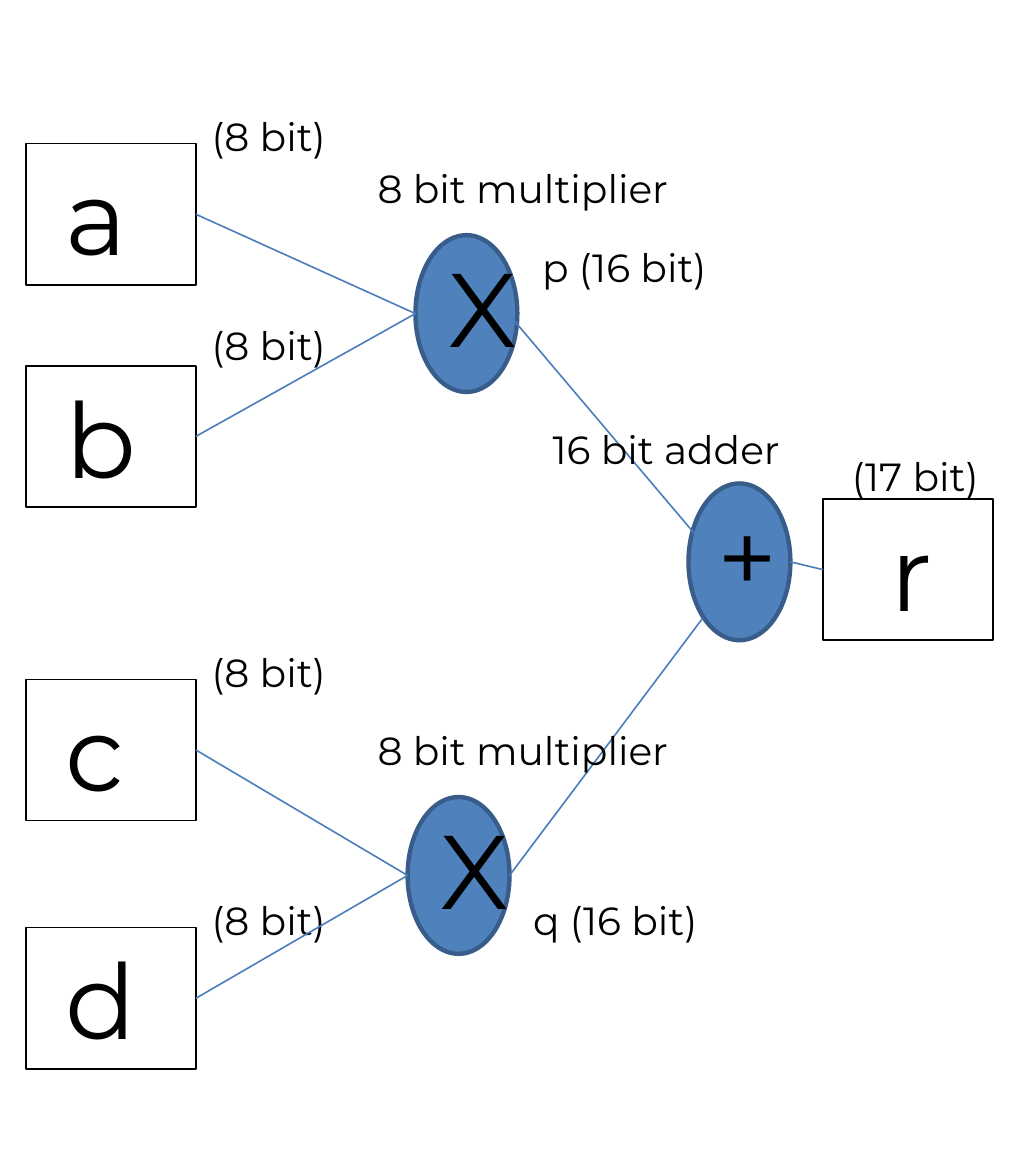
from pptx import Presentation
from pptx.dml.color import RGBColor
from pptx.enum.shapes import MSO_CONNECTOR, MSO_SHAPE
from pptx.enum.text import MSO_ANCHOR, PP_ALIGN
from pptx.oxml.ns import qn
from pptx.util import Inches, Pt
from lxml import etree

RECT, OVAL = MSO_SHAPE.RECTANGLE, MSO_SHAPE.OVAL
STRAIGHT = MSO_CONNECTOR.STRAIGHT
TOP, LEFT = MSO_ANCHOR.TOP, PP_ALIGN.LEFT
LEFT_SIDE, RIGHT_SIDE = 1, 3

FONT = "Montserrat"
BLACK, BLUE, DARK_BLUE, WIRE_BLUE = "000000", "4F81BD", "385D8A", "4A7EBB"
BIG, SMALL = 48, 18

# Grid of 78 columns by 90 rows, twelve cells to the inch
COLUMNS, ROWS = 78, 90
BOX_W, BOX_H = 13, 10.8
NODE_W, NODE_H = 7.8, 12
LABEL_H = 4.8
INPUT_X, BITS_X = 2, 15

INPUTS = [("a", 11, 8), ("b", 28, 24), ("c", 52, 49), ("d", 71, 68)]
LABELS = [
    ("8 bit multiplier", 27.7, 12, 32),
    ("p (16 bit)", 40.3, 18, 22),
    ("16 bit adder", 41.1, 32, 24),
    ("(17 bit)", 64, 34, 14),
    ("8 bit multiplier", 27.7, 55, 32),
    ("q (16 bit)", 39.6, 68, 22),
]


def cells(n):
    return Inches(n / 12)


def color(hex_string):
    return RGBColor.from_string(hex_string)


def write(sp, text, size, indent=1.2):
    tf = sp.text_frame
    tf.word_wrap = True
    tf.vertical_anchor = TOP
    tf.margin_left = cells(indent)
    tf.text = text
    p = tf.paragraphs[0]
    p.alignment = LEFT
    p.font.size = Pt(size)
    p.font.name = FONT
    p.font.color.rgb = color(BLACK)


def add_label(slide, text, x, y, width, size=SMALL, height=LABEL_H):
    sp = slide.shapes.add_textbox(cells(x), cells(y), cells(width), cells(height))
    write(sp, text, size)


def add_box(slide, letter, x, y, indent=3):
    sp = slide.shapes.add_shape(RECT, cells(x), cells(y), cells(BOX_W), cells(BOX_H))
    sp.shadow.inherit = False
    sp.fill.background()
    sp.line.color.rgb = color(BLACK)
    sp.line.width = Pt(0.75)
    write(sp, letter, BIG, indent)
    return sp


def add_node(slide, sign, x, y, sign_dx):
    """Draw an operator ellipse with its sign sign_dx columns from its left."""
    sp = slide.shapes.add_shape(OVAL, cells(x), cells(y), cells(NODE_W), cells(NODE_H))
    sp.shadow.inherit = False
    sp.fill.solid()
    sp.fill.fore_color.rgb = color(BLUE)
    sp.line.color.rgb = color(DARK_BLUE)
    sp.line.width = Pt(2)
    add_label(slide, sign, x + sign_dx, y, NODE_W, BIG, BOX_H)


def add_wire(slide, x1, y1, x2, y2):
    wire = slide.shapes.add_connector(STRAIGHT, cells(x1), cells(y1), cells(x2), cells(y2))
    wire.line.color.rgb = color(WIRE_BLUE)
    wire.line.width = Pt(0.75)
    etree.SubElement(wire._element.spPr, qn("a:effectLst"))
    return wire


def main():
    prs = Presentation()
    prs.slide_width, prs.slide_height = cells(COLUMNS), cells(ROWS)
    slide = prs.slides.add_slide(prs.slide_layouts[6])

    multipliers = [(31.8, 18), (31.2, 61)]
    adder_x, adder_y = 52.7, 37
    result_x, result_y = 63, 38.2

    for x, y in multipliers:
        add_node(slide, "X", x, y, 1.3)
    add_node(slide, "+", adder_x, adder_y, 1)

    for i, (letter, y, bits_y) in enumerate(INPUTS):
        box = add_box(slide, letter, INPUT_X, y)
        add_label(slide, "(8 bit)", BITS_X, bits_y, 14)
        node_x, node_y = multipliers[i // 2]
        wire = add_wire(slide, INPUT_X + BOX_W, y + BOX_H / 2, node_x, node_y + NODE_H / 2)
        wire.begin_connect(box, RIGHT_SIDE)

    result = add_box(slide, "r", result_x, result_y, indent=5.2)
    wire = add_wire(slide, adder_x + NODE_W, adder_y + NODE_H / 2,
                    result_x, result_y + BOX_H / 2)
    wire.end_connect(result, LEFT_SIDE)

    add_wire(slide, 38.4, 23.4, 53.3, 41)
    add_wire(slide, 39, 67, 53.8, 47.3)

    for text, x, y, width in LABELS:
        add_label(slide, text, x, y, width)

    prs.save("out.pptx")


if __name__ == "__main__":
    main()
